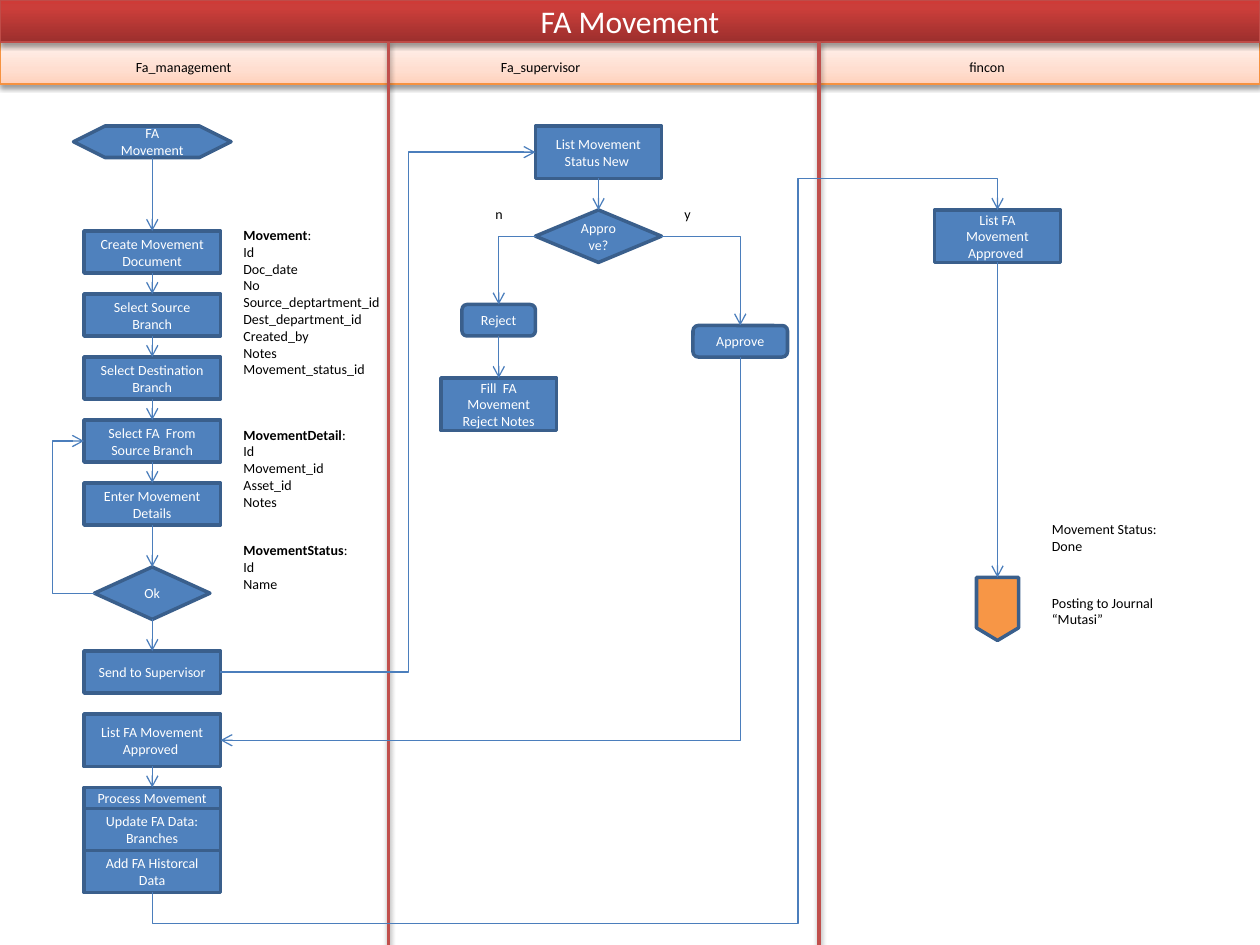
from copy import deepcopy
from pptx import Presentation
from pptx.dml.color import RGBColor
from pptx.enum.shapes import MSO_CONNECTOR, MSO_SHAPE
from pptx.enum.text import MSO_ANCHOR, MSO_AUTO_SIZE, PP_ALIGN
from pptx.oxml import parse_xml
from pptx.oxml.ns import nsdecls, qn
from pptx.util import Pt

BLUE = RGBColor(0x4F, 0x81, 0xBD)
DARK_BLUE = RGBColor(0x3A, 0x5F, 0x8C)
ARROW_BLUE = RGBColor(0x4B, 0x7E, 0xBC)
ORANGE = RGBColor(0xF7, 0x96, 0x46)
BAND_LINE = RGBColor(0xF6, 0x92, 0x40)
TITLE_LINE = RGBColor(0xBF, 0x4C, 0x48)
LANE_RED = RGBColor(0xC0, 0x50, 0x4D)
WHITE = RGBColor(0xFF, 0xFF, 0xFF)
BLACK = RGBColor(0x00, 0x00, 0x00)
BAND_STOPS = [(0, RGBColor(0xFF, 0xD2, 0xBD)), (0.35, RGBColor(0xFF, 0xDE, 0xD0)),
              (1, RGBColor(0xFF, 0xF2, 0xED))]
TITLE_STOPS = [(0, RGBColor(0x9C, 0x2F, 0x2D)), (0.8, RGBColor(0xCB, 0x3E, 0x3A)),
               (1, RGBColor(0xCE, 0x3B, 0x37))]
SHADOW = ('<a:effectLst %s><a:outerShdw blurRad="39370" dist="20320" dir="5400000" rotWithShape="0">'
          '<a:srgbClr val="000000"><a:alpha val="38000"/></a:srgbClr></a:outerShdw></a:effectLst>')
NO_SHADOW = "<a:effectLst %s/>"

presentation = Presentation()
presentation.slide_width = Pt(720)
presentation.slide_height = Pt(540)
slide = presentation.slides.add_slide(presentation.slide_layouts[6])


def add_line(kind, start, end, color, width, effect):
    connector = slide.shapes.add_connector(kind, *[Pt(value) for value in start + end])
    connector.line.color.rgb = color
    connector.line.width = Pt(width)
    connector.element.spPr.append(parse_xml(effect % nsdecls("a")))
    if effect == NO_SHADOW:
        connector.line._get_or_add_ln().append(
            parse_xml('<a:tailEnd %s type="arrow"/>' % nsdecls("a")))
    return connector


def write(shape, lines, size, color, alignment):
    frame = shape.text_frame
    for index, line in enumerate(lines):
        paragraph = frame.add_paragraph() if index else frame.paragraphs[0]
        paragraph.alignment = alignment
        paragraph.font.size = Pt(size)
        paragraph.font.name = "Calibri"
        paragraph.font.color.rgb = color
        paragraph.text = line
    return frame


for top, stops, outline, title in [(24, BAND_STOPS, BAND_LINE, ""),
                                   (0, TITLE_STOPS, TITLE_LINE, "FA Movement")]:
    band = slide.shapes.add_shape(MSO_SHAPE.RECTANGLE, 0, Pt(top), Pt(720), Pt(24))
    band.fill.gradient()
    band.fill.gradient_angle = 90
    stop_list = band.element.spPr.find(".//" + qn("a:gsLst"))
    stop_list.append(deepcopy(stop_list[0]))
    for stop, (position, color) in zip(band.fill.gradient_stops, stops):
        stop.position = position
        stop.color.rgb = color
    band.line.color.rgb = outline
    band.line.width = Pt(0.75)
    band.element.spPr.append(parse_xml(SHADOW % nsdecls("a")))
    if title:
        write(band, [title], 18, WHITE, PP_ALIGN.CENTER)

for x in (222, 468):
    add_line(MSO_CONNECTOR.STRAIGHT, (x, 24), (x, 540), LANE_RED, 2, SHADOW)

for text, left, width in [("Fa_management", 24, 162), ("Fa_supervisor", 228, 162),
                          ("fincon", 426, 276)]:
    lane_name = slide.shapes.add_textbox(Pt(left), Pt(30), Pt(width), Pt(17))
    write(lane_name, [text], 8, BLACK, PP_ALIGN.CENTER).word_wrap = True

PROCESS = MSO_SHAPE.FLOWCHART_PROCESS
DECISION = MSO_SHAPE.FLOWCHART_DECISION
ROUNDED = MSO_SHAPE.FLOWCHART_ALTERNATE_PROCESS
steps = [
    (MSO_SHAPE.FLOWCHART_PREPARATION, "FA Movement", 42, 72, 90, 18),
    (DECISION, "Ok", 54, 324, 66, 30),
    (PROCESS, "Send to Supervisor", 48, 372, 78, 24),
    (PROCESS, "List FA Movement Approved ", 48, 408, 78, 30),
    (PROCESS, "Process Movement", 48, 450, 78, 12),
    (PROCESS, "Update FA Data: Branches", 48, 462, 78, 24),
    (PROCESS, "Add FA Historcal Data", 48, 486, 78, 24),
    (PROCESS, "List Movement Status New ", 306, 72, 72, 30),
    (DECISION, "Approve?", 306, 120, 72, 30),
    (ROUNDED, "Reject", 264, 174, 42, 18),
    (PROCESS, "Fill  FA Movement Reject Notes", 252, 216, 66, 30),
    (ROUNDED, "Approve", 396, 186, 54, 18),
    (PROCESS, "List FA Movement Approved ", 534, 120, 72, 30),
    (MSO_SHAPE.FLOWCHART_OFFPAGE_CONNECTOR, "", 558, 330, 24, 36),
]
entry_steps = ["Create Movement Document", "Select Source Branch", "Select Destination Branch",
               "Select FA  From Source Branch", "Enter Movement Details"]
for index, text in enumerate(entry_steps):
    steps.append((PROCESS, text, 48, 132 + 36 * index, 78, 24))

for kind, text, *box in steps:
    step = slide.shapes.add_shape(kind, *[Pt(value) for value in box])
    step.shadow.inherit = False
    step.fill.solid()
    step.fill.fore_color.rgb = BLUE if text else ORANGE
    step.line.color.rgb = DARK_BLUE
    step.line.width = Pt(2)
    if text:
        write(step, [text], 8, WHITE, PP_ALIGN.CENTER).vertical_anchor = MSO_ANCHOR.MIDDLE

down_arrows = [(87, 90, 132), (87, 300, 324), (87, 354, 372), (87, 438, 450),
               (342, 102, 120), (285, 192, 216), (570, 150, 330)]
down_arrows += [(87, 156 + 36 * index, 168 + 36 * index) for index in range(4)]
for x, start, end in down_arrows:
    add_line(MSO_CONNECTOR.STRAIGHT, (x, start), (x, end), ARROW_BLUE, 0.75, NO_SHADOW)

elbows = [
    ("bentConnector3", 126, 87, 180, 297, 0, "V", [59600]),
    ("bentConnector2", 285, 135, 21, 39, 180, "V", []),
    ("bentConnector2", 378, 135, 45, 51, 0, "", []),
    ("bentConnector3", 48, 252, 6, 87, 180, "", [400000]),
    ("bentConnector2", 165, 165, 219, 297, 90, "", []),
    ("bentConnector5", 133.5, 73.5, 390, 483, 90, "HV", [-4600, 76400, 104600]),
]
for preset, left, top, width, height, rotation, flips, adjustments in elbows:
    elbow = add_line(MSO_CONNECTOR.ELBOW, (left, top), (left + width, top + height),
                     ARROW_BLUE, 0.75, NO_SHADOW)
    transform = elbow.element.spPr.find(qn("a:xfrm"))
    transform.set("rot", str(rotation * 60000))
    for flip in flips:
        transform.set("flip" + flip, "1")
    geometry = elbow.element.spPr.find(qn("a:prstGeom"))
    geometry.set("prst", preset)
    for number, value in enumerate(adjustments, 1):
        geometry.find(qn("a:avLst")).append(
            parse_xml('<a:gd %s name="adj%d" fmla="val %d"/>' % (nsdecls("a"), number, value)))

notes = [
    (132, 126, 93.6, 94.3, ["Id", "Doc_date", "No", "Source_deptartment_id", "Dest_department_id",
                            "Created_by", "Notes", "Movement_status_id"], "Movement"),
    (132, 240, 73.4, 55.4, ["Id", "Movement_id", "Asset_id", "Notes"], "MovementDetail"),
    (132, 306, 74.2, 36, ["Id", "Name"], "MovementStatus"),
    (276, 114, 18.7, 17, ["n"], ""),
    (384, 114, 18, 17, ["y"], ""),
    (594, 294, 74.9, 26.6, ["Movement Status:", "Done"], ""),
    (594, 336, 73.4, 26.6, ["Posting to Journal", "“Mutasi”"], ""),
]
for left, top, width, height, lines, heading in notes:
    note = slide.shapes.add_textbox(Pt(left), Pt(top), Pt(width), Pt(height))
    frame = write(note, [heading] + lines if heading else lines, 8, BLACK, PP_ALIGN.LEFT)
    frame.word_wrap = False
    frame.auto_size = MSO_AUTO_SIZE.SHAPE_TO_FIT_TEXT
    if heading:
        frame.paragraphs[0].runs[0].font.bold = True
        frame.paragraphs[0].add_run().text = ":"

presentation.save("out.pptx")
